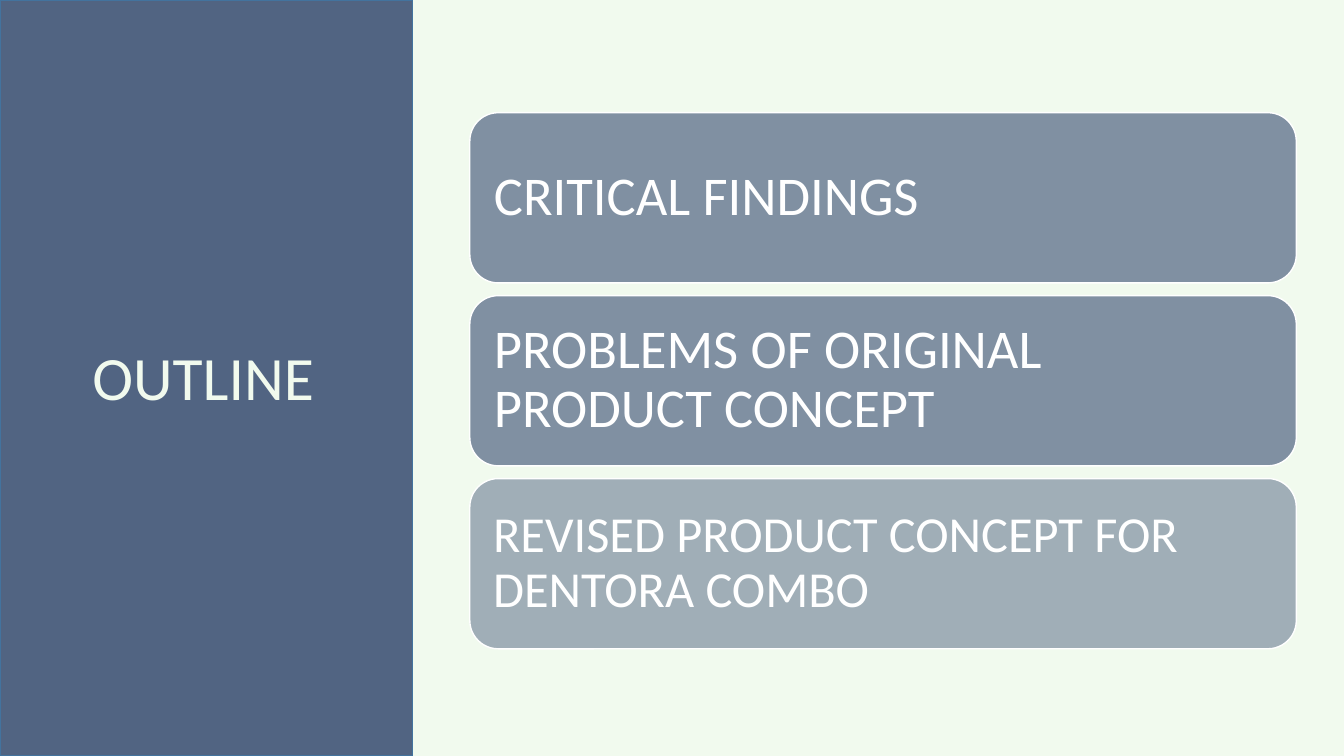
"""Build an outline slide with a title panel and three stacked topic cards."""
import pptx
import pptx.util
import pptx.dml.color
import pptx.enum.shapes
import pptx.enum.text
import pptx.oxml.ns
import lxml.etree
from pptx.util import Cm

HEADING = "OUTLINE"
TOPICS = [
    {"label": "CRITICAL FINDINGS", "size": 39, "opacity": 70, "inset": 0.4},
    {"label": "PROBLEMS OF ORIGINAL PRODUCT CONCEPT", "size": 39, "opacity": 70, "inset": 0.4},
    {"label": "REVISED PRODUCT CONCEPT FOR DENTORA COMBO", "size": 36, "opacity": 50, "inset": 0.38},
]
THEME = {
    "font": "Calibri",
    "heading_size": 44,
    "mint": "F1FAEE",
    "slate": "516482",
    "edge": "43739E",
    "white": "FFFFFF",
}
SLIDE_WIDTH, SLIDE_HEIGHT = 33.87, 19.05
PANEL_WIDTH = 10.39
CARD_LEFT, CARD_TOP, CARD_WIDTH, CARD_HEIGHT, CARD_GAP = 11.84, 2.84, 20.83, 4.29, 0.32


def color(name):
    return pptx.dml.color.RGBColor.from_string(THEME[name])


def add_block(slide, preset, box, edge, opacity=100):
    block = slide.shapes.add_shape(preset, *map(Cm, box))
    block.shadow.inherit = False
    block.fill.solid()
    block.fill.fore_color.rgb = color("slate")
    block.line.color.rgb = color(edge)
    block.line.width = pptx.util.Pt(1)
    if opacity < 100:
        qn = pptx.oxml.ns.qn
        tint = block.element.spPr.find(qn("a:solidFill"))[0]
        lxml.etree.SubElement(tint, qn("a:alpha"), val=str(opacity * 1000))
    return block


def write(frame, words, size, ink, align):
    frame.word_wrap = True
    frame.vertical_anchor = pptx.enum.text.MSO_ANCHOR.MIDDLE
    paragraph = frame.paragraphs[0]
    paragraph.text = words
    paragraph.alignment = align
    paragraph.line_spacing = 0.9
    paragraph.font.name = THEME["font"]
    paragraph.font.size = pptx.util.Pt(size)
    paragraph.font.color.rgb = color(ink)


presentation = pptx.Presentation()
presentation.slide_width = Cm(SLIDE_WIDTH)
presentation.slide_height = Cm(SLIDE_HEIGHT)
outline = presentation.slides.add_slide(presentation.slide_layouts[6])
outline.background.fill.solid()
outline.background.fill.fore_color.rgb = color("mint")

presets = pptx.enum.shapes.MSO_SHAPE
alignments = pptx.enum.text.PP_ALIGN

add_block(outline, presets.RECTANGLE, (0, 0, PANEL_WIDTH, SLIDE_HEIGHT), "edge")

for position, topic in enumerate(TOPICS):
    top = CARD_TOP + position * (CARD_HEIGHT + CARD_GAP)
    card = add_block(outline, presets.ROUNDED_RECTANGLE,
                     (CARD_LEFT, top, CARD_WIDTH, CARD_HEIGHT), "white", topic["opacity"])
    frame = card.text_frame
    frame.margin_left = frame.margin_right = Cm(topic["inset"])
    frame.margin_top = frame.margin_bottom = Cm(topic["inset"])
    write(frame, topic["label"], topic["size"], "white", alignments.LEFT)

heading = outline.shapes.add_textbox(Cm(1.63), Cm(7.92), Cm(6.99), Cm(3.35))
write(heading.text_frame, HEADING, THEME["heading_size"], "mint", alignments.CENTER)

presentation.save("out.pptx")
